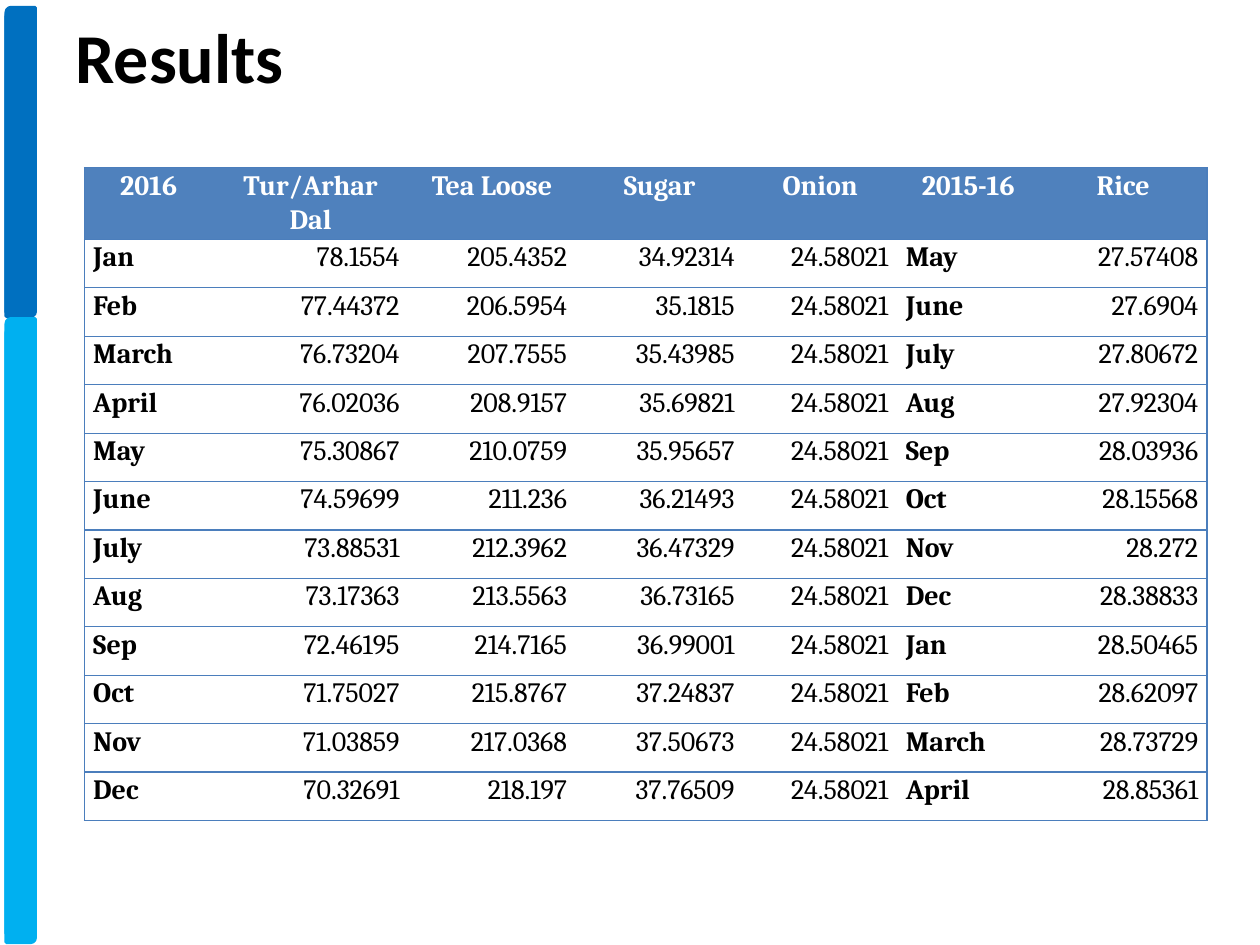
from lxml import etree
from pptx import Presentation
from pptx import util as u
from pptx.dml.color import RGBColor
from pptx.enum import shapes, text
from pptx.oxml import ns

COLORS = {
    "dark_bar": "0070C0",
    "light_bar": "00B0F0",
    "header": "4F81BD",
    "rule": "4B7EBC",
    "ink": "000000",
    "white": "FFFFFF",
}

BAR_LEFT, BAR_WIDTH = 0.05, 0.23
BARS = [  # top, height, colour
    (0.09, 2.42, "dark_bar"),
    (2.6, 4.88, "light_bar"),
    (0.06, 2.42, "dark_bar"),
    (2.53, 4.88, "light_bar"),
]

COLUMN_WIDTHS = [1.02, 1.55, 1.33, 1.33, 1.22, 1.13, 1.33]
MONTH_COLUMNS = (0, 5)
HEADERS = ["2016", "Tur/Arhar Dal", "Tea Loose", "Sugar", "Onion", "2015-16", "Rice"]
ONION = "24.58021"
PRICES = [  # month, dal, tea, sugar, rice month, rice
    ("Jan", "78.1554", "205.4352", "34.92314", "May", "27.57408"),
    ("Feb", "77.44372", "206.5954", "35.1815", "June", "27.6904"),
    ("March", "76.73204", "207.7555", "35.43985", "July", "27.80672"),
    ("April", "76.02036", "208.9157", "35.69821", "Aug", "27.92304"),
    ("May", "75.30867", "210.0759", "35.95657", "Sep", "28.03936"),
    ("June", "74.59699", "211.236", "36.21493", "Oct", "28.15568"),
    ("July", "73.88531", "212.3962", "36.47329", "Nov", "28.272"),
    ("Aug", "73.17363", "213.5563", "36.73165", "Dec", "28.38833"),
    ("Sep", "72.46195", "214.7165", "36.99001", "Jan", "28.50465"),
    ("Oct", "71.75027", "215.8767", "37.24837", "Feb", "28.62097"),
    ("Nov", "71.03859", "217.0368", "37.50673", "March", "28.73729"),
    ("Dec", "70.32691", "218.197", "37.76509", "April", "28.85361"),
]


def rgb(name):
    return RGBColor.from_string(COLORS[name])


def set_all(target, values):
    for name, value in values.items():
        setattr(target, name, value)


def write(para, content, align, color, **font_values):
    para.alignment = align
    span = para.add_run()
    span.text = content
    set_all(span.font, font_values)
    span.font.color.rgb = rgb(color)


def add_bar(slide, top, height, color):
    bar = slide.shapes.add_shape(
        shapes.MSO_SHAPE.ROUND_2_DIAG_RECTANGLE,
        u.Inches(BAR_LEFT), u.Inches(top), u.Inches(BAR_WIDTH), u.Inches(height))
    bar.shadow.inherit = False
    bar.fill.solid()
    bar.fill.fore_color.rgb = rgb(color)
    bar.line.color.rgb = rgb(color)
    bar.line.width = u.Pt(2)


def add_title(slide, content):
    title = slide.shapes.title
    set_all(title, {"left": u.Inches(0.5), "top": u.Inches(0.06),
                    "width": u.Inches(9.34), "height": u.Inches(0.77)})
    set_all(title.text_frame, {"word_wrap": True,
                               "vertical_anchor": text.MSO_ANCHOR.TOP,
                               "auto_size": text.MSO_AUTO_SIZE.SHAPE_TO_FIT_TEXT})
    write(title.text_frame.paragraphs[0], content, text.PP_ALIGN.LEFT, "ink",
          name="Calibri", size=u.Pt(40), bold=True)


def set_borders(cell, ruled_sides):
    """Rule the given sides (letters of LRTB) and clear the others."""
    properties = cell._tc.get_or_add_tcPr()
    for index, side in enumerate("LRTB"):
        line = etree.Element(ns.qn(f"a:ln{side}"), w=str(u.Pt(0.75)))
        if side in ruled_sides:
            fill = etree.SubElement(line, ns.qn("a:solidFill"))
            etree.SubElement(fill, ns.qn("a:srgbClr"), val=COLORS["rule"])
        else:
            etree.SubElement(line, ns.qn("a:noFill"))
        properties.insert(index, line)


def fill_cell(cell, content, is_header, is_month):
    set_all(cell, {"margin_left": u.Inches(0.07), "margin_right": u.Inches(0.07),
                   "margin_top": 0, "margin_bottom": 0,
                   "vertical_anchor": text.MSO_ANCHOR.TOP})
    if is_header:
        cell.fill.solid()
        cell.fill.fore_color.rgb = rgb("header")
        align = text.PP_ALIGN.CENTER
    else:
        cell.fill.background()
        align = text.PP_ALIGN.LEFT if is_month else text.PP_ALIGN.RIGHT
    para = cell.text_frame.paragraphs[0]
    para.line_spacing = 1.07
    write(para, content, align, "white" if is_header else "ink",
          name="Cambria", size=u.Pt(16), bold=is_header or is_month)


def add_price_table(slide):
    rows = [HEADERS] + [(*row[:4], ONION, *row[4:]) for row in PRICES]
    table = slide.shapes.add_table(
        len(rows), len(HEADERS), u.Inches(0.67), u.Inches(1.33),
        u.Inches(sum(COLUMN_WIDTHS)), u.Inches(5)).table
    table.horz_banding = False
    for column, width in zip(table.columns, COLUMN_WIDTHS):
        column.width = u.Inches(width)
    last = len(HEADERS) - 1
    for r, row in enumerate(rows):
        for c, content in enumerate(row):
            cell = table.cell(r, c)
            fill_cell(cell, content, r == 0, c in MONTH_COLUMNS)
            set_borders(cell, "TB" + {0: "L", last: "R"}.get(c, ""))


def main():
    deck = Presentation()
    set_all(deck, {"slide_width": u.Inches(10), "slide_height": u.Inches(7.5)})
    slide = deck.slides.add_slide(deck.slide_layouts[5])
    for bar in BARS:
        add_bar(slide, *bar)
    add_title(slide, "Results")
    add_price_table(slide)
    deck.save("out.pptx")


if __name__ == "__main__":
    main()
